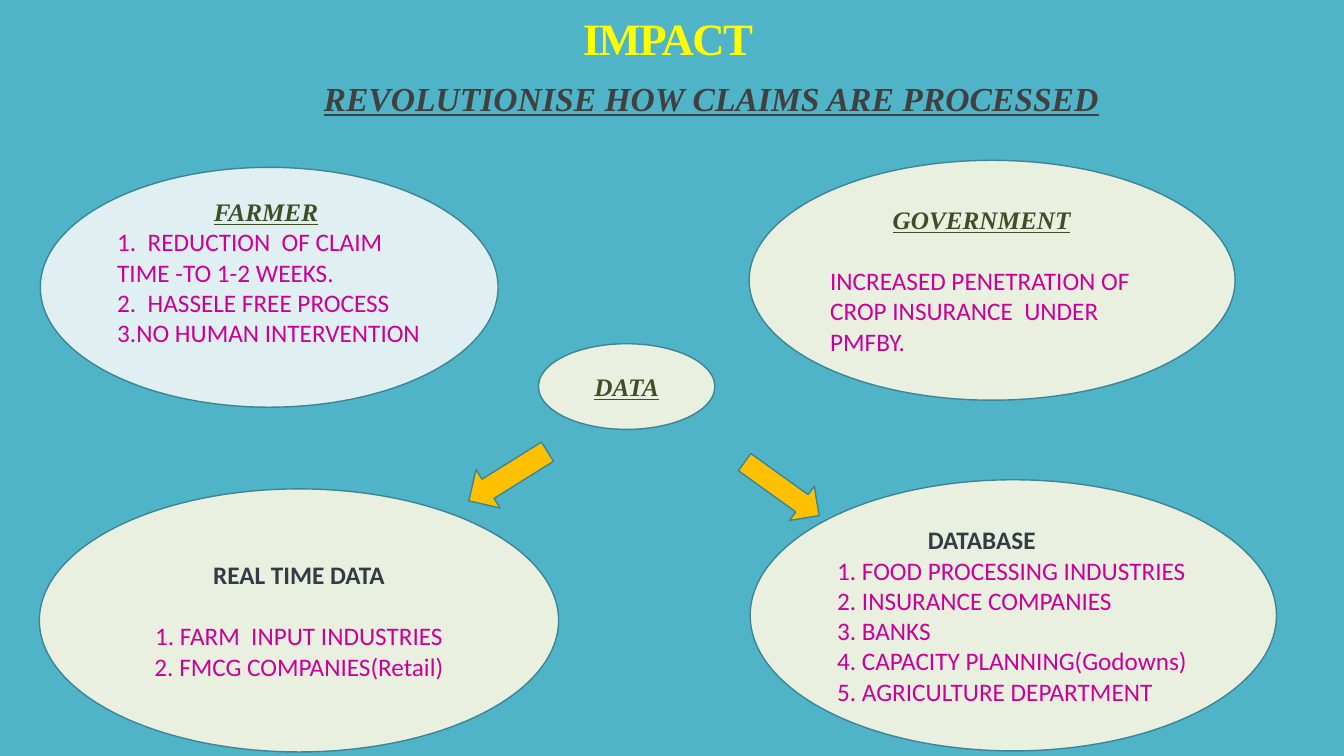
from pptx import Presentation
from pptx.dml.color import RGBColor
from pptx.enum import shapes, text
from pptx.util import Inches, Pt

SERIF, SANS = "Times New Roman", "Calibri"
BACK, EDGE, GOLD = "50B4C8", "3B8594", "FFC000"
PALE, MINT = "E0EFF2", "EAF0E0"
PINK, GREEN, SLATE = "CC0099", "3F4E26", "333B44"
LEFT, MID = text.PP_ALIGN.LEFT, text.PP_ALIGN.CENTER

# Run styles: font, colour, bold, italic and underlined
FANCY = (SERIF, GREEN, True, True)
PLAIN = (SANS, SLATE, True, False)
ITEM = (SANS, PINK, False, False)

TITLE = ("IMPACT", (0.73, 0, 11.79, 0.69), 32, (SERIF, "FFFF00", True, False))
SUB = ("REVOLUTIONISE HOW CLAIMS ARE PROCESSED", (3.11, 0.72, 8.65, 0.5), 24,
       (SERIF, "404040", True, True))

# box, fill, heading, heading style, heading indent, gap below heading (pt),
# bottom inset, alignment, items
OVALS = [
    ((0.4, 1.66, 4.54, 2.38), PALE, "FARMER", FANCY, 0.96, 0, 0.35, LEFT,
     ["1.  REDUCTION  OF CLAIM TIME -TO 1-2 WEEKS.",
      "2.  HASSELE FREE PROCESS",
      "3.NO HUMAN INTERVENTION"]),
    ((7.43, 1.59, 4.82, 2.38), MINT, "GOVERNMENT", FANCY, 0.62, 22, 0.05, LEFT,
     ["INCREASED PENETRATION OF CROP INSURANCE  UNDER PMFBY."]),
    ((5.34, 3.41, 1.75, 0.85), MINT, "DATA", FANCY, 0, 0, 0.05, MID, []),
    ((0.39, 4.85, 5.15, 2.61), MINT, "REAL TIME DATA", PLAIN, 0, 22, 0.05, MID,
     ["1. FARM  INPUT INDUSTRIES",
      "2. FMCG COMPANIES(Retail)"]),
    ((7.44, 4.76, 5.22, 2.69), MINT, "DATABASE", PLAIN, 0.9, 0, 0.05, LEFT,
     ["1. FOOD PROCESSING INDUSTRIES",
      "2. INSURANCE COMPANIES",
      "3. BANKS",
      "4. CAPACITY PLANNING(Godowns)",
      "5. AGRICULTURE DEPARTMENT"]),
]

KIND = shapes.MSO_SHAPE
ARROWS = [
    (KIND.LEFT_ARROW, (4.58, 4.5, 0.92, 0.45), 328),
    (KIND.RIGHT_ARROW, (7.3, 4.64, 0.91, 0.42), 35.7),
]


def color(code):
    return RGBColor.from_string(code)


def write(para, words, size, style, align):
    """Add one styled run to a paragraph and return the run."""
    para.alignment = align
    para.space_before = Pt(0)
    run = para.add_run()
    run.text = words
    font = run.font
    font.size = Pt(size)
    font.name, tint, font.bold, fancy = style
    font.italic = font.underline = fancy
    font.color.rgb = color(tint)
    return run


def draw(slide, kind, box, fill):
    """Add a flat filled shape with the common outline."""
    shape = slide.shapes.add_shape(kind, *map(Inches, box))
    shape.shadow.inherit = False
    shape.fill.solid()
    shape.fill.fore_color.rgb = color(fill)
    shape.line.color.rgb = color(EDGE)
    shape.line.width = Pt(1)
    return shape


def place(holder, entry, anchor, align):
    """Move a placeholder, fill in its text and return the run."""
    words, box, size, style = entry
    holder.left, holder.top, holder.width, holder.height = map(Inches, box)
    frame = holder.text_frame
    frame.auto_size = text.MSO_AUTO_SIZE.NONE
    frame.word_wrap = True
    frame.vertical_anchor = anchor
    return write(frame.paragraphs[0], words, size, style, align)


def oval(slide, box, fill, head, style, indent, gap, foot, align, items):
    shape = draw(slide, KIND.OVAL, box, fill)
    frame = shape.text_frame
    frame.word_wrap = True
    frame.vertical_anchor = text.MSO_ANCHOR.MIDDLE
    frame.margin_bottom = Inches(foot)
    if align == LEFT:
        frame.margin_right = Inches(0.05)
    first = frame.paragraphs[0]
    write(first, head, 18, style, align)
    first.space_after = Pt(gap)
    if indent:
        first._p.get_or_add_pPr().set("indent", str(Inches(indent)))
    for item in items:
        write(frame.add_paragraph(), item, 18, ITEM, align)


def main():
    deck = Presentation()
    deck.slide_width, deck.slide_height = Inches(13.33), Inches(7.5)
    slide = deck.slides.add_slide(deck.slide_layouts[0])
    slide.background.fill.solid()
    slide.background.fill.fore_color.rgb = color(BACK)

    title, sub = slide.placeholders
    run = place(title, TITLE, text.MSO_ANCHOR.BOTTOM, MID)
    run._r.get_or_add_rPr().set("spc", "-120")
    title.text_frame.paragraphs[0].line_spacing = 0.8
    place(sub, SUB, text.MSO_ANCHOR.TOP, LEFT)

    for entry in OVALS:
        oval(slide, *entry)
    for kind, box, turn in ARROWS:
        draw(slide, kind, box, GOLD).rotation = turn
    deck.save("out.pptx")


if __name__ == "__main__":
    main()
